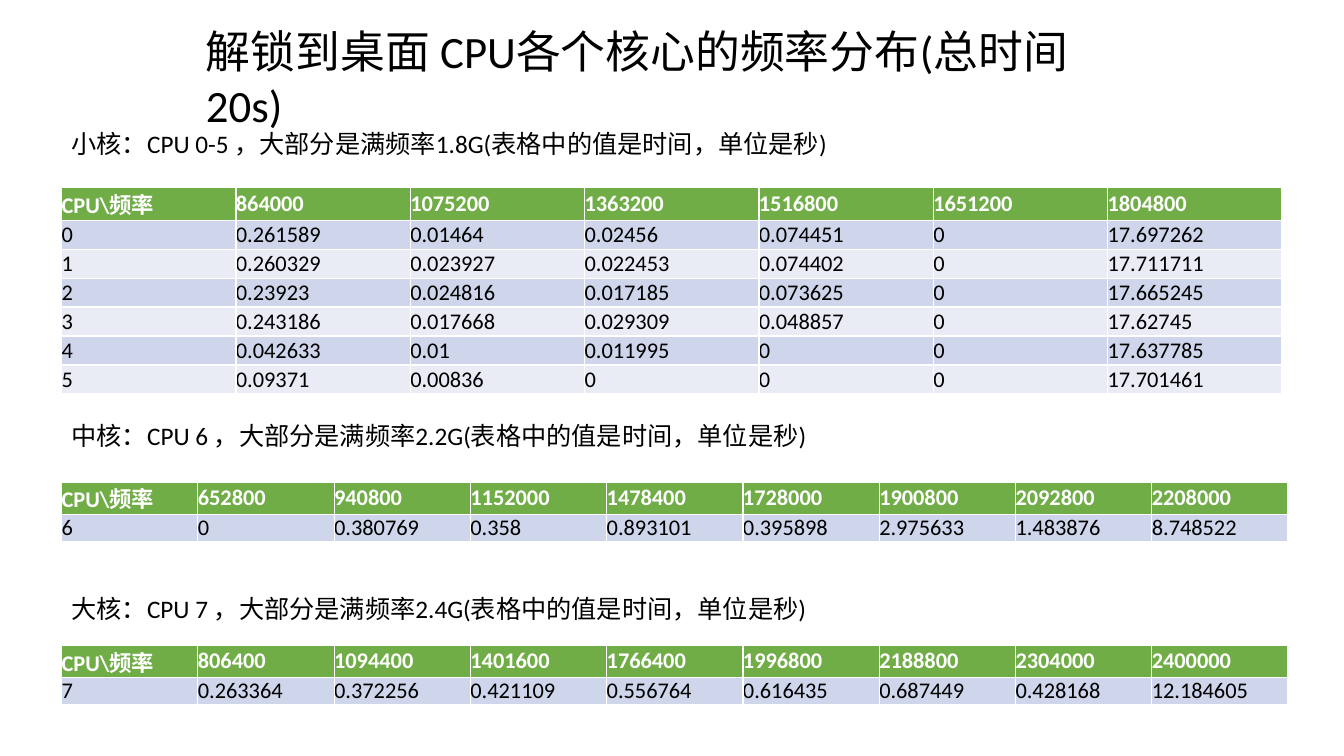
from pptx import Presentation
from pptx.dml.color import RGBColor
from pptx.enum.text import MSO_ANCHOR as Anchor, MSO_AUTO_SIZE as AutoSize
from pptx.util import Pt

FONT = "Calibri"
COLORS = {
    "text": "000000",
    "header_text": "FFFFFF",
    "header": "70AD47",
    "odd_row": "CFD5EA",
    "even_row": "E9EBF5",
}
LEFT = 44
CORNER = "CPU\\频率"

SMALL_CORES = [
    [CORNER, "864000", "1075200", "1363200", "1516800", "1651200", "1804800"],
    ["0", "0.261589", "0.01464", "0.02456", "0.074451", "0", "17.697262"],
    ["1", "0.260329", "0.023927", "0.022453", "0.074402", "0", "17.711711"],
    ["2", "0.23923", "0.024816", "0.017185", "0.073625", "0", "17.665245"],
    ["3", "0.243186", "0.017668", "0.029309", "0.048857", "0", "17.62745"],
    ["4", "0.042633", "0.01", "0.011995", "0", "0", "17.637785"],
    ["5", "0.09371", "0.00836", "0", "0", "0", "17.701461"],
]
MIDDLE_CORE = [
    [CORNER, "652800", "940800", "1152000", "1478400", "1728000",
     "1900800", "2092800", "2208000"],
    ["6", "0", "0.380769", "0.358", "0.893101", "0.395898",
     "2.975633", "1.483876", "8.748522"],
]
BIG_CORE = [
    [CORNER, "806400", "1094400", "1401600", "1766400", "1996800",
     "2188800", "2304000", "2400000"],
    ["7", "0.263364", "0.372256", "0.421109", "0.556764", "0.616435",
     "0.687449", "0.428168", "12.184605"],
]


def rgb(name):
    return RGBColor.from_string(COLORS[name])


def add_run(frame, text, size, color="text", bold=False):
    run = frame.paragraphs[0].add_run()
    run.text = text
    run.font.name = FONT
    run.font.size = Pt(size)
    run.font.bold = bold
    run.font.color.rgb = rgb(color)


def add_label(slide, text, left, top, width, height, size):
    frame = slide.shapes.add_textbox(
        Pt(left), Pt(top), Pt(width), Pt(height)).text_frame
    frame.word_wrap = True
    frame.auto_size = AutoSize.SHAPE_TO_FIT_TEXT
    add_run(frame, text, size)


def fill_cell(cell, text, row):
    cell.margin_left = cell.margin_right = 0
    cell.margin_top = cell.margin_bottom = 0
    cell.vertical_anchor = Anchor.MIDDLE
    is_header = row == 0
    band = "header" if is_header else "odd_row" if row % 2 else "even_row"
    cell.fill.solid()
    cell.fill.fore_color.rgb = rgb(band)
    add_run(cell.text_frame, text, 16,
            "header_text" if is_header else "text", is_header)


def add_times(slide, times, top, column_width, row_height):
    rows, columns = len(times), len(times[0])
    table = slide.shapes.add_table(
        rows, columns, Pt(LEFT), Pt(top),
        Pt(column_width * columns), Pt(row_height * rows)).table
    for column in table.columns:
        column.width = Pt(column_width)
    for row, values in enumerate(times):
        table.rows[row].height = Pt(row_height)
        for column, value in enumerate(values):
            fill_cell(table.cell(row, column), value, row)


def main():
    deck = Presentation()
    deck.slide_width, deck.slide_height = Pt(960), Pt(540)
    slide = deck.slides.add_slide(deck.slide_layouts[6])

    add_times(slide, SMALL_CORES, 134.2, 124.55, 20.7)
    add_times(slide, MIDDLE_CORE, 344.3, 97.35, 19.5)
    add_times(slide, BIG_CORE, 460.8, 97.35, 19.5)

    add_label(slide, "解锁到桌面 CPU各个核心的频率分布(总时间20s)",
              140, 13.7, 684, 46, 32)
    captions = [
        ("小核：CPU 0-5 ", "1.8G", 87.8, 553.7, 50.4),
        ("中核：CPU 6 ", "2.2G", 296.6, 637.2, 50.4),
        ("大核：CPU 7 ", "2.4G", 420, 612, 29),
    ]
    for cores, peak, top, width, height in captions:
        add_label(slide,
                  f"{cores}，大部分是满频率{peak}(表格中的值是时间，单位是秒)",
                  LEFT, top, width, height, 18)

    deck.save("out.pptx")


main()
